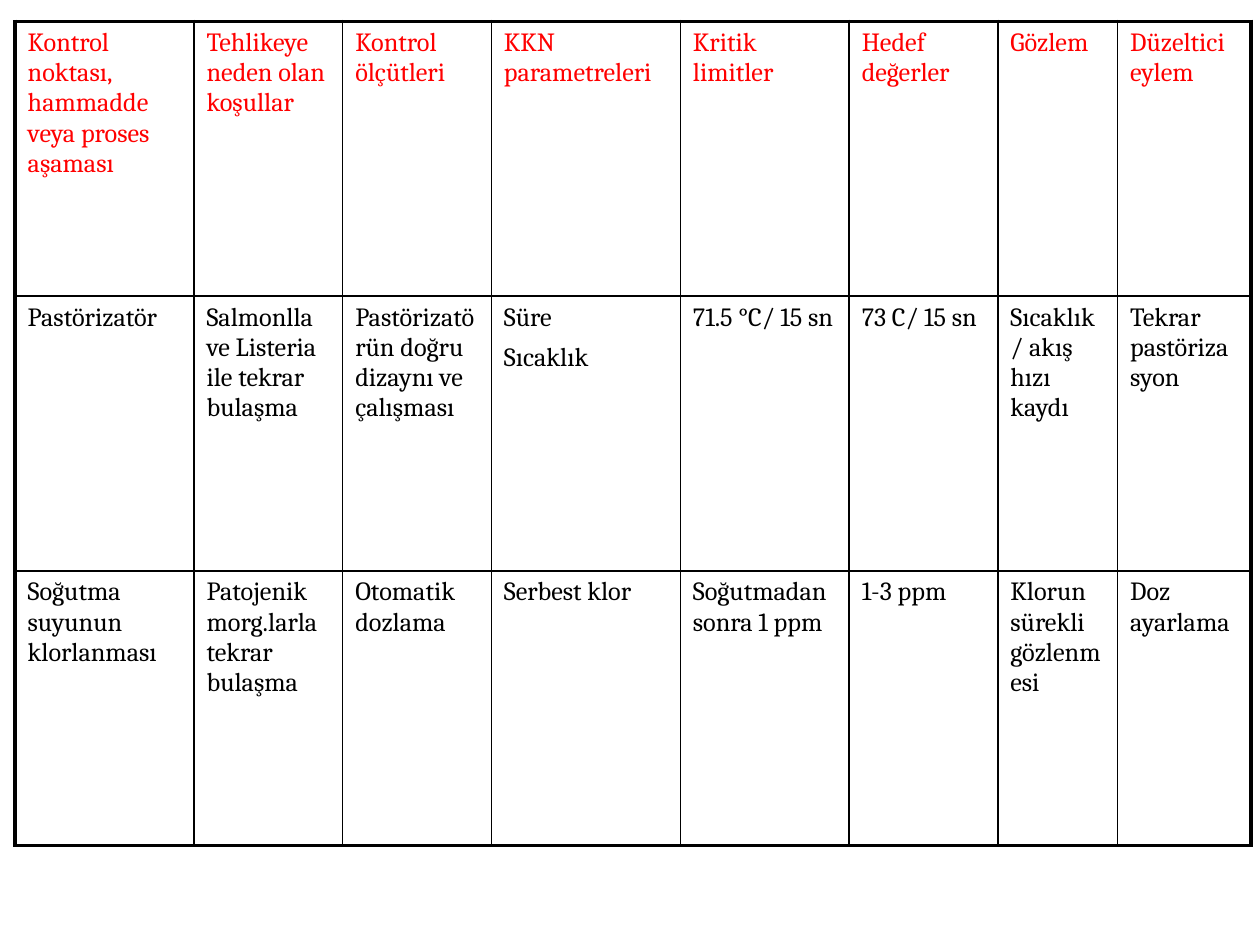
from lxml.etree import SubElement
from pptx import Presentation
from pptx.dml.color import RGBColor
from pptx.oxml.ns import qn
from pptx.util import Inches, Pt

COLORS = {"header": "FF0000", "body": "000000", "border": "000000", "cell": "FFFFFF"}
FONT = "Cambria"
LEFT, TOP = 0.12, 0.17
COLUMN_WIDTHS = [1.42, 1.18, 1.18, 1.5, 1.34, 1.18, 0.95, 1.06]
ROW_HEIGHT = 2.18
OUTER_LINE, INNER_LINE = 2.25, 1

HACCP_PLAN = [
    ["Kontrol noktası, hammadde veya proses aşaması", "Tehlikeye neden olan koşullar",
     "Kontrol ölçütleri", "KKN parametreleri", "Kritik limitler", "Hedef değerler",
     "Gözlem", "Düzeltici eylem"],
    ["Pastörizatör", "Salmonlla ve Listeria ile tekrar bulaşma",
     "Pastörizatörün doğru dizaynı ve çalışması", "Süre\nSıcaklık", "71.5 °C/ 15 sn",
     "73 C/ 15 sn", "Sıcaklık/ akış hızı kaydı", "Tekrar pastörizasyon"],
    ["Soğutma suyunun klorlanması", "Patojenik morg.larla tekrar bulaşma",
     "Otomatik dozlama", "Serbest klor", "Soğutmadan sonra 1 ppm", "1-3 ppm",
     "Klorun sürekli gözlenmesi", "Doz ayarlama"],
]


def write_text(frame, text, *, color, size=15, space_before=6):
    frame.text = text
    for paragraph in frame.paragraphs:
        paragraph.space_before = Pt(space_before)
        for run in paragraph.runs:
            run.font.name = FONT
            run.font.size = Pt(size)
            run.font.color.rgb = RGBColor.from_string(color)


def set_borders(cell, outer_edges):
    """Draw all four cell borders, heavier on the table's outer edges."""
    properties = cell._tc.get_or_add_tcPr()
    for position, (edge, is_outer) in enumerate(outer_edges.items()):
        width = Pt(OUTER_LINE if is_outer else INNER_LINE)
        line = SubElement(properties, qn(f"a:ln{edge}"), w=str(width))
        fill = SubElement(line, qn("a:solidFill"))
        SubElement(fill, qn("a:srgbClr"), val=COLORS["border"])
        # The schema wants borders ahead of the cell fill
        properties.insert(position, line)


def main():
    presentation = Presentation()
    presentation.slide_width, presentation.slide_height = Inches(10), Inches(7.5)
    slide = presentation.slides.add_slide(presentation.slide_layouts[6])

    row_count, column_count = len(HACCP_PLAN), len(COLUMN_WIDTHS)
    plan = slide.shapes.add_table(
        row_count, column_count, Inches(LEFT), Inches(TOP),
        Inches(sum(COLUMN_WIDTHS)), Inches(ROW_HEIGHT * row_count)).table
    plan.first_row = plan.horz_banding = False
    for column, width in zip(plan.columns, COLUMN_WIDTHS):
        column.width = Inches(width)

    for r, entries in enumerate(HACCP_PLAN):
        plan.rows[r].height = Inches(ROW_HEIGHT)
        for c, entry in enumerate(entries):
            cell = plan.cell(r, c)
            cell.fill.solid()
            cell.fill.fore_color.rgb = RGBColor.from_string(COLORS["cell"])
            write_text(cell.text_frame, entry, color=COLORS["body" if r else "header"])
            set_borders(cell, {"L": c == 0, "R": c == column_count - 1,
                               "T": r == 0, "B": r == row_count - 1})

    presentation.save("out.pptx")


if __name__ == "__main__":
    main()
